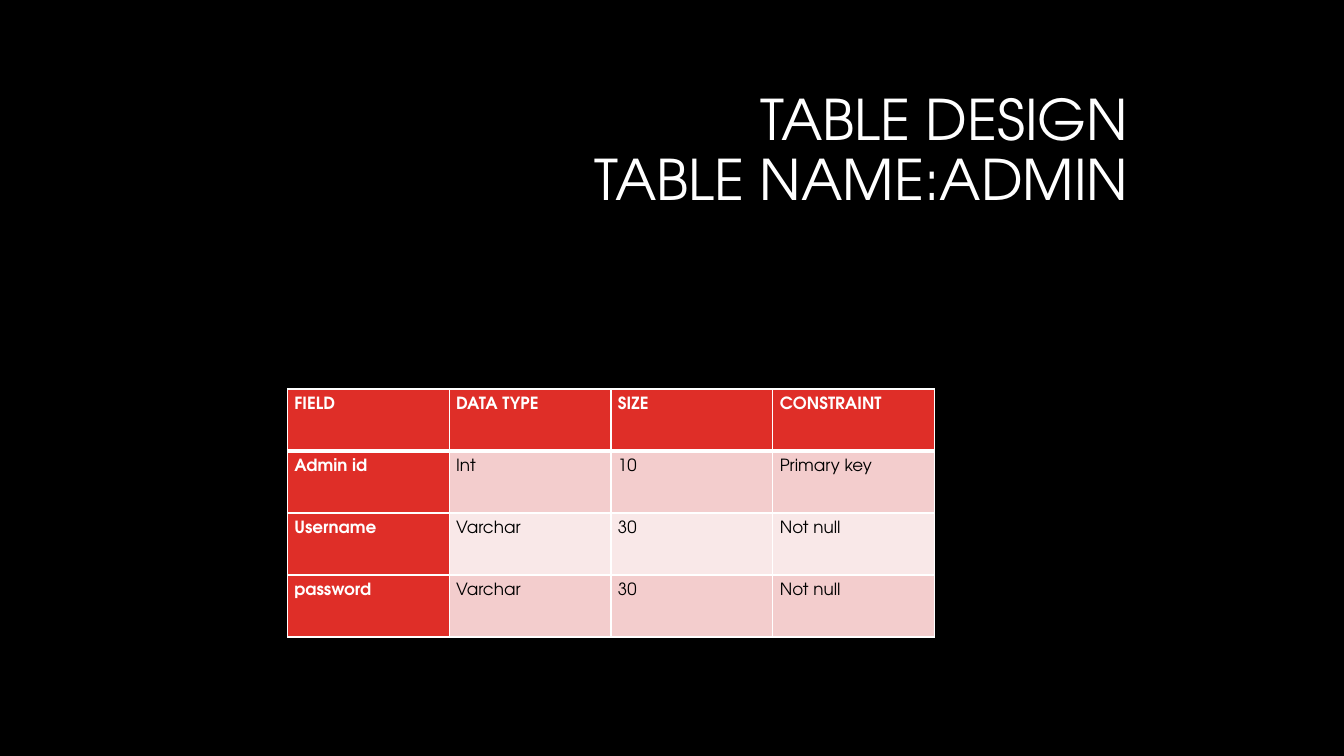
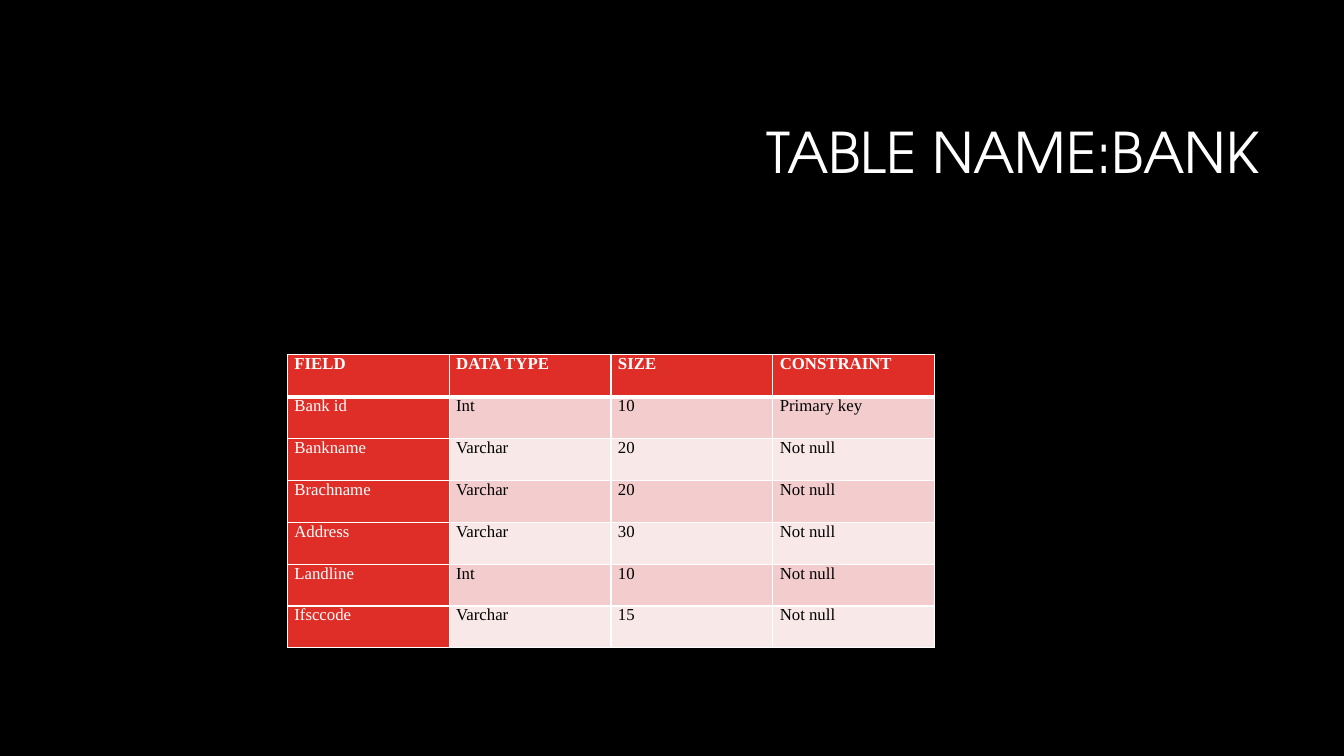
from dataclasses import dataclass

from lxml.etree import SubElement
from pptx import Presentation
from pptx.dml.color import RGBColor as Color
from pptx.enum.text import MSO_ANCHOR as Anchor, MSO_AUTO_SIZE as AutoSize, PP_ALIGN as Align
from pptx.oxml.ns import qn
from pptx.util import Inches, Pt


@dataclass(frozen=True)
class Theme:
    background: Color = Color.from_string("000000")
    light: Color = Color.from_string("FFFFFF")
    dark: Color = Color.from_string("000000")
    header: Color = Color.from_string("DF2E28")
    bands: tuple = (Color.from_string("F3CDCD"), Color.from_string("F9E8E8"))
    title_font: str = "TeX Gyre Adventor"
    title_size: int = 40
    table_size: int = 12
    thin_line: int = 1
    thick_line: int = 3


theme = Theme()
TABLE_LEFT, TABLE_WIDTH = 2.85, 6.42
HEADINGS = ("FIELD", "DATA TYPE", "SIZE", "CONSTRAINT")

SLIDES = [
    {
        "title": "TABLE DESIGN\vTABLE NAME:ADMIN",
        "title_box": (1.1, 0.57, 10.19, 1.88),
        "top": 3.86,
        "height": 2.46,
        "font": "TeX Gyre Adventor",
        "bold_fields": True,
        "line_spacing": 1.5,
        "space_after": 10,
        "rows": [
            ("Admin id", "Int", "10", "Primary key"),
            ("Username", "Varchar", "30", "Not null"),
            ("password", "Varchar", "30", "Not null"),
        ],
    },
    {
        "title": "TABLE NAME:BANK",
        "title_box": (3.17, 0.84, 9.42, 1.41),
        "top": 3.52,
        "height": 2.91,
        "font": "Times New Roman",
        "bold_fields": False,
        "line_spacing": 1.0,
        "space_after": 0,
        "rows": [
            ("Bank id", "Int", "10", "Primary key"),
            ("Bankname", "Varchar", "20", "Not null"),
            ("Brachname", "Varchar", "20", "Not null"),
            ("Address", "Varchar", "30", "Not null"),
            ("Landline", "Int", "10", "Not null"),
            ("Ifsccode", "Varchar", "15", "Not null"),
        ],
    },
]


def set_borders(cell, top, bottom):
    """Draw the four cell borders; call it before the cell gets its fill."""
    properties = cell._tc.get_or_add_tcPr()
    widths = {"L": theme.thin_line, "R": theme.thin_line, "T": top, "B": bottom}
    for side, width in widths.items():
        line = SubElement(properties, qn(f"a:ln{side}"), w=str(Pt(width)))
        fill = SubElement(line, qn("a:solidFill"))
        SubElement(fill, qn("a:srgbClr"), val=str(theme.light))


def format_text(paragraph, font_name, size, color, bold=False):
    for run in paragraph.runs:
        run.font.name = font_name
        run.font.size = Pt(size)
        run.font.color.rgb = color
        run.font.bold = bold


presentation = Presentation()
presentation.slide_width = Inches(13.33)
presentation.slide_height = Inches(7.5)
master_fill = presentation.slide_master.background.fill
master_fill.solid()
master_fill.fore_color.rgb = theme.background
title_only = presentation.slide_layouts[5]

for content in SLIDES:
    slide = presentation.slides.add_slide(title_only)

    title = slide.shapes.title
    title.left, title.top, title.width, title.height = map(Inches, content["title_box"])
    title.text_frame.text = content["title"]
    title.text_frame.auto_size = AutoSize.NONE
    title.text_frame.vertical_anchor = Anchor.MIDDLE
    paragraph = title.text_frame.paragraphs[0]
    paragraph.alignment = Align.RIGHT
    paragraph.line_spacing = 0.9
    format_text(paragraph, theme.title_font, theme.title_size, theme.light)

    rows = [HEADINGS, *content["rows"]]
    table = slide.shapes.add_table(
        len(rows), len(HEADINGS), Inches(TABLE_LEFT), Inches(content["top"]),
        Inches(TABLE_WIDTH), Inches(content["height"]),
    ).table
    table.first_col = True

    for row_index, values in enumerate(rows):
        for column_index, value in enumerate(values):
            is_heading = row_index == 0
            is_field = column_index == 0
            cell = table.cell(row_index, column_index)
            set_borders(
                cell,
                top=theme.thick_line if row_index == 1 else theme.thin_line,
                bottom=theme.thick_line if is_heading else theme.thin_line,
            )
            cell.fill.solid()
            if is_heading or is_field:
                cell.fill.fore_color.rgb = theme.header
                text_color = theme.light
            else:
                cell.fill.fore_color.rgb = theme.bands[(row_index - 1) % 2]
                text_color = theme.dark
            cell.margin_left = cell.margin_right = Inches(0.07)
            cell.margin_top = cell.margin_bottom = 0

            cell.text_frame.text = value
            paragraph = cell.text_frame.paragraphs[0]
            paragraph.line_spacing = content["line_spacing"]
            paragraph.space_after = Pt(content["space_after"])
            bold = is_heading or (is_field and content["bold_fields"])
            format_text(paragraph, content["font"], theme.table_size, text_color, bold)

presentation.save("out.pptx")
